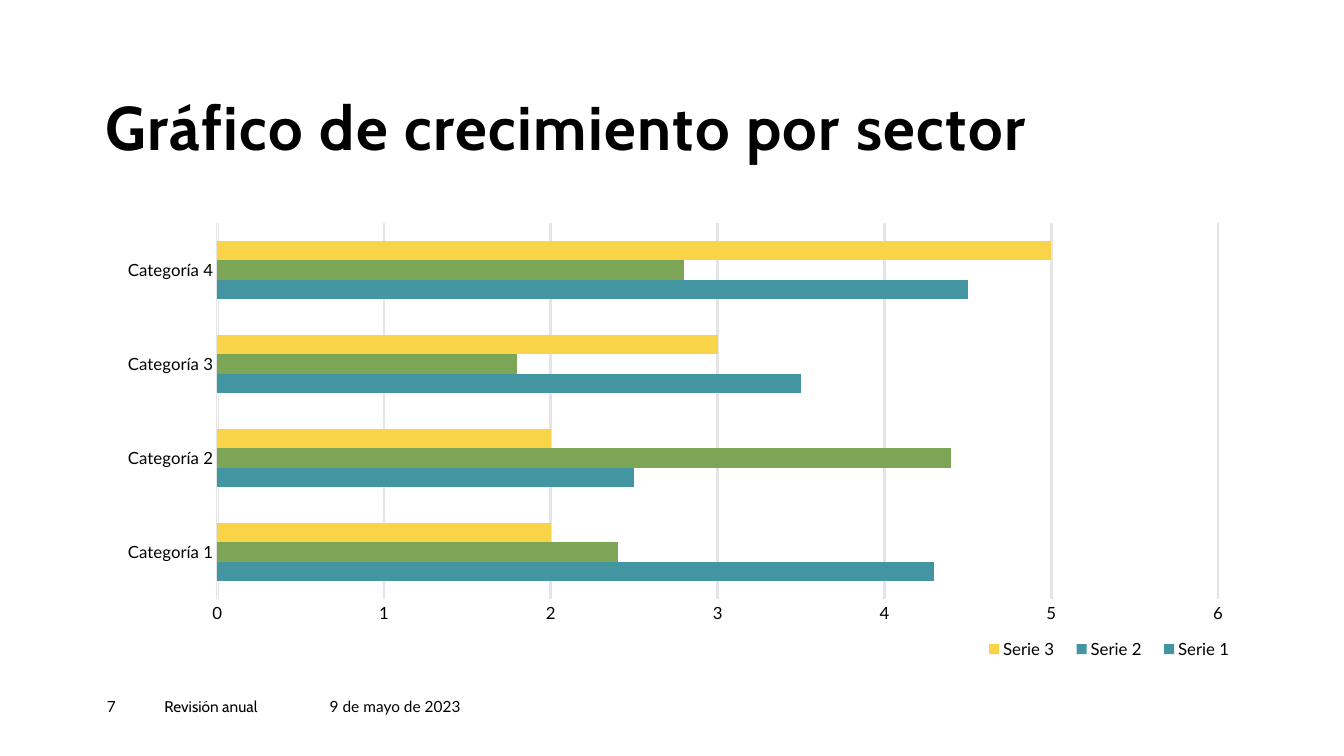
from dataclasses import dataclass

from lxml.etree import SubElement
from pptx import Presentation
from pptx.chart.data import CategoryChartData
from pptx.dml.color import RGBColor
from pptx.enum.chart import XL_CHART_TYPE, XL_LEGEND_POSITION, XL_TICK_MARK
from pptx.enum.text import MSO_ANCHOR
from pptx.oxml.ns import qn
from pptx.util import Inches, Pt

BLACK = "000000"
CATEGORIES = [f"Categoría {number}" for number in range(1, 5)]


@dataclass
class Label:
    text: str
    left: float
    top: float
    width: float
    height: float
    font: str = "Lato"
    size: float = 11
    bold: bool = False
    anchor: MSO_ANCHOR = MSO_ANCHOR.TOP
    line_spacing: float = 1.0
    letter_spacing: float = 0


@dataclass
class Sector:
    name: str
    values: tuple[float, ...]
    color: str
    bar_color: str


LABELS = [
    Label("Gráfico de crecimiento por sector", 1.05, 0.96, 10.03, 0.67, "Cabin", 44,
          True, MSO_ANCHOR.BOTTOM, 0.9, 1),
    Label("7", 1.06, 6.92, 0.57, 0.27),
    Label("Revisión anual", 1.63, 6.92, 1.64, 0.27, "Cabin"),
    Label("9 de mayo de 2023", 3.27, 6.92, 1.84, 0.27),
]

SECTORS = [
    Sector("Serie 1", (4.3, 2.5, 3.5, 4.5), "4495A2", "4495A2"),
    Sector("Serie 2", (2.4, 4.4, 1.8, 2.8), "4495A2", "7CA655"),
    Sector("Serie 3", (2, 2, 3, 5), "F9D448", "F9D448"),
]


def rgb(value: str) -> RGBColor:
    return RGBColor.from_string(value)


def set_all(target, values: dict) -> None:
    for name, value in values.items():
        setattr(target, name, value)


def format_font(font, name: str, size: float, bold: bool = False) -> None:
    set_all(font, {"name": name, "size": Pt(size), "bold": bold})
    font.color.rgb = rgb(BLACK)


def fill_solid(fill, color: str) -> None:
    fill.solid()
    fill.fore_color.rgb = rgb(color)


def add_label(slide, label: Label) -> None:
    box = slide.shapes.add_textbox(Inches(label.left), Inches(label.top),
                                   Inches(label.width), Inches(label.height))
    frame = box.text_frame
    set_all(frame, {"word_wrap": True, "vertical_anchor": label.anchor,
                    "margin_left": 0, "margin_top": 0,
                    "margin_right": 0, "margin_bottom": 0})
    paragraph = frame.paragraphs[0]
    paragraph.line_spacing = label.line_spacing
    run = paragraph.add_run()
    run.text = label.text
    format_font(run.font, label.font, label.size, label.bold)
    if label.letter_spacing:
        run.font._element.set("spc", str(round(label.letter_spacing * 100)))


def set_layout(element, position: int, inner: bool,
               x: float, y: float, w: float, h: float) -> None:
    """Place a chart part by fractions of the chart's size."""
    for previous in element.findall(qn("c:layout")):
        element.remove(previous)
    layout = SubElement(element, qn("c:layout"))
    element.insert(position, layout)
    manual = SubElement(layout, qn("c:manualLayout"))
    settings = {"layoutTarget": "inner"} if inner else {}
    settings |= {"xMode": "edge", "yMode": "edge", "x": x, "y": y, "w": w, "h": h}
    for name, value in settings.items():
        SubElement(manual, qn(f"c:{name}")).set("val", str(value))


def format_axes(chart) -> None:
    for axis in (chart.category_axis, chart.value_axis):
        set_all(axis, {"major_tick_mark": XL_TICK_MARK.NONE,
                       "minor_tick_mark": XL_TICK_MARK.NONE})
        format_font(axis.tick_labels.font, "Lato", 12)
    category_line = chart.category_axis.format.line
    category_line.color.rgb = rgb("FFFFFF")
    category_line.width = Pt(0.75)

    value_axis = chart.value_axis
    set_all(value_axis, {"minimum_scale": 0, "maximum_scale": 6, "major_unit": 1,
                         "has_major_gridlines": True})
    value_axis.format.line.fill.background()
    grid_line = value_axis.major_gridlines.format.line
    grid_line.color.rgb = rgb("E4E4E4")
    grid_line.width = Pt(2)


def add_growth_chart(slide) -> None:
    data = CategoryChartData(number_format="General")
    data.categories = CATEGORIES
    for sector in SECTORS:
        data.add_series(sector.name, sector.values)
    chart = slide.shapes.add_chart(XL_CHART_TYPE.BAR_CLUSTERED, Inches(1.04), Inches(2.12),
                                   Inches(11.32), Inches(4.5), data).chart
    set_all(chart, {"has_title": False, "has_legend": True})
    format_font(chart.font, "Lato", 10)
    format_axes(chart)

    plot = chart.plots[0]
    set_all(plot, {"gap_width": 182, "overlap": 0, "vary_by_categories": False})
    for series, sector in zip(plot.series, SECTORS):
        fill_solid(series.format.fill, sector.color)
        series.invert_if_negative = False
        if sector.bar_color != sector.color:
            for index in range(len(CATEGORIES)):
                fill_solid(series.points[index].format.fill, sector.bar_color)

    legend = chart.legend
    set_all(legend, {"position": XL_LEGEND_POSITION.BOTTOM, "include_in_layout": False})
    format_font(legend.font, "Lato", 12)
    set_layout(legend._element, 1, False, 0.76, 0.92, 0.24, 0.08)
    plot_area = chart._chartSpace.chart.plotArea
    set_layout(plot_area, 0, True, 0.0984, 0.0205, 0.877, 0.829)


def main() -> None:
    presentation = Presentation()
    set_all(presentation, {"slide_width": Inches(13.33), "slide_height": Inches(7.5)})
    slide = presentation.slides.add_slide(presentation.slide_layouts[6])
    fill_solid(slide.background.fill, "FFFFFF")
    add_growth_chart(slide)
    for label in LABELS:
        add_label(slide, label)
    presentation.save("out.pptx")


if __name__ == "__main__":
    main()
